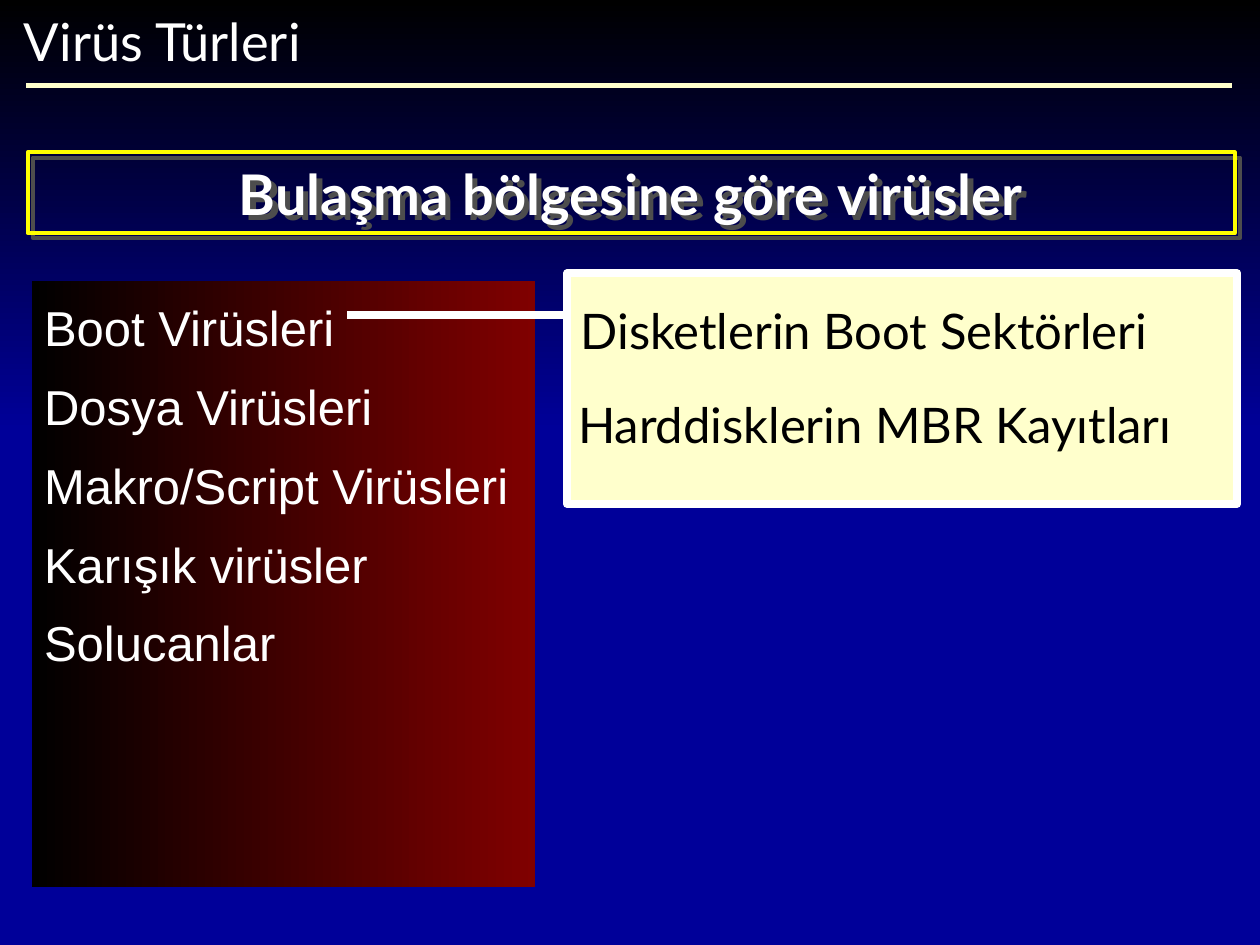
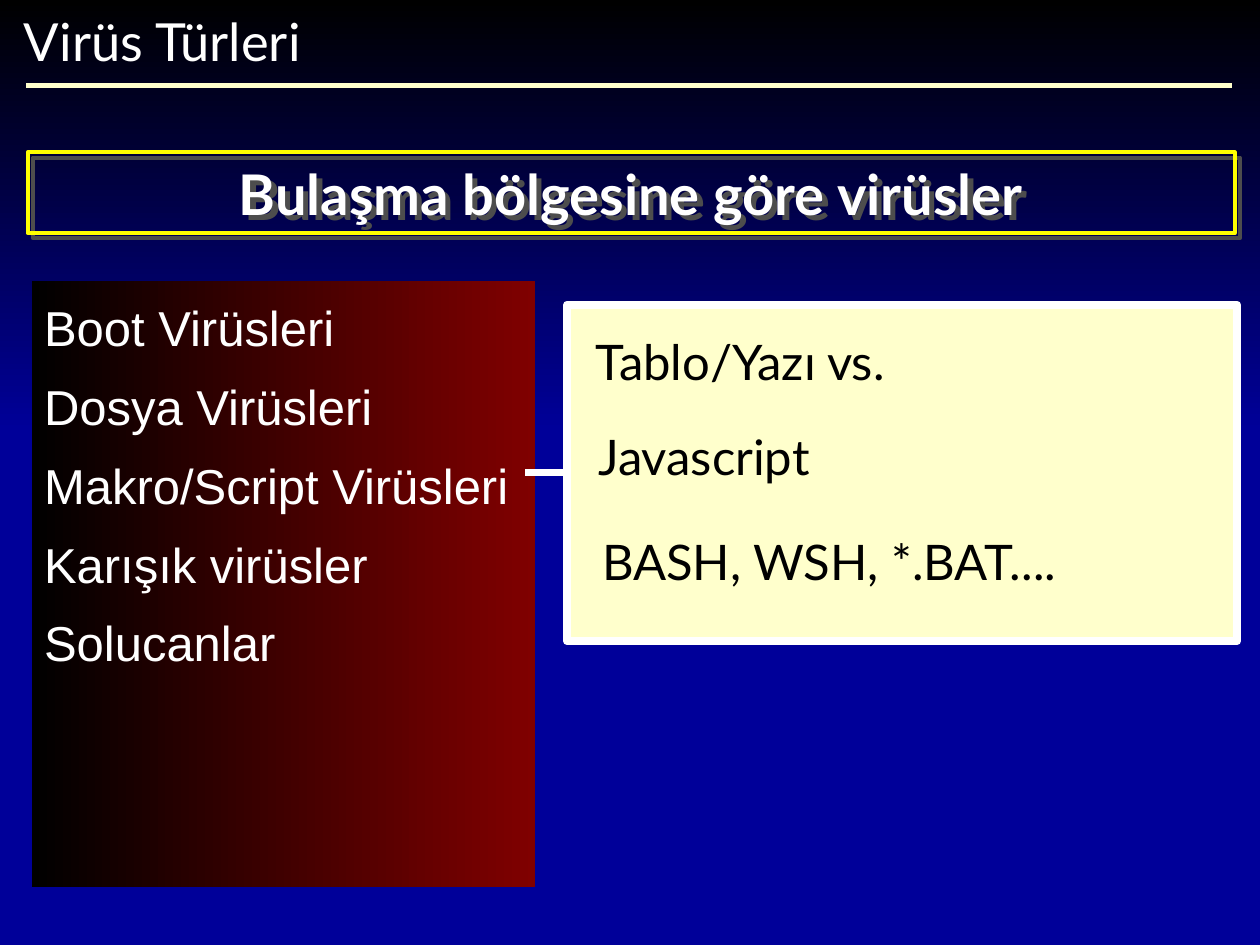
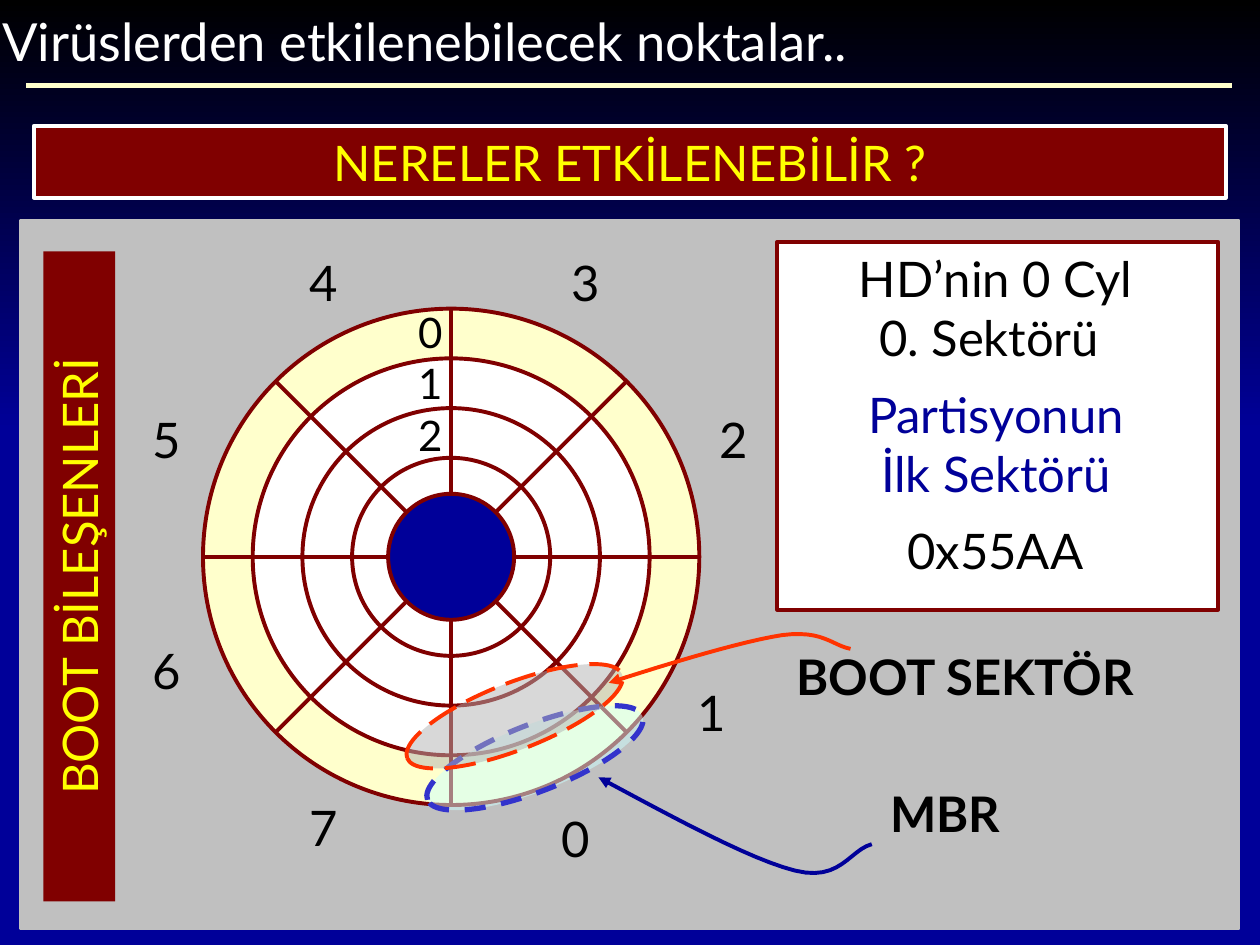
import math

from lxml import etree
from pptx import Presentation
from pptx.dml.color import RGBColor
from pptx.enum import dml, shapes, text
from pptx.oxml import ns
from pptx.util import Pt

COLORS = {
    "black": "000000", "white": "FFFFFF", "navy": "000099", "cream": "FFFFCC",
    "maroon": "800000", "yellow": "FFFF00", "silver": "C0C0C0", "shade": "4D4D4D",
    "ice": "CCFFFF", "indigo": "3333CC", "smoke": "B2B2B2", "orange": "FF3300",
}
LATO, ARIAL = "Lato", "Arial"
LEFT, CENTER = text.PP_ALIGN.LEFT, text.PP_ALIGN.CENTER
RECT, OVAL = shapes.MSO_SHAPE.RECTANGLE, shapes.MSO_SHAPE.OVAL
ROW = 41  # height of one 28 pt line with its insets

VIRUS_KINDS = ["Boot Virüsleri", "Dosya Virüsleri", "Makro/Script Virüsleri",
               "Karışık virüsler", "Solucanlar"]


def rgb(name):
    return RGBColor.from_string(COLORS[name])


def add_xml(parent, tag, **attributes):
    return etree.SubElement(parent, ns.qn(tag), attributes)


class Deck:
    """Holds the shared style and the slide being built."""

    def __init__(self):
        self.prs = Presentation()
        self.prs.slide_width, self.prs.slide_height = Pt(720), Pt(540)
        fill = self.prs.slide_master.background.fill
        fill.solid()
        fill.fore_color.rgb = rgb("navy")
        self.slide = None

    def new_slide(self, layout, title, left, width):
        first = self.slide is None
        self.slide = self.prs.slides.add_slide(self.prs.slide_layouts[layout])
        if first:
            self.decorate_master()
        heading = self.slide.shapes.title
        self.place(heading, left, 1.5, width, 43)
        self.set_text(heading, [title], size=30, color="white", align=LEFT, wrap=False)

    def decorate_master(self):
        band = self.shape(RECT, 0, 0, 720, 246.2)
        self.gradient(band, "black", "navy", 270)
        rule = self.line(15.1, 49, 704.2, 49, "cream", 3)
        tree = self.prs.slide_master.shapes.element
        for number, part in enumerate((band, rule), 101):
            part.element.xpath(".//p:cNvPr")[0].set("id", str(number))
            tree.append(part.element)

    @staticmethod
    def place(holder, left, top, width, height):
        holder.left, holder.top = Pt(left), Pt(top)
        holder.width, holder.height = Pt(width), Pt(height)

    @staticmethod
    def gradient(shape, start, end, angle):
        shape.fill.gradient()
        shape.fill.gradient_angle = angle
        for stop, name in zip(shape.fill.gradient_stops, (start, end)):
            stop.color.rgb = rgb(name)

    @staticmethod
    def set_text(holder, lines, size=28, color="black", font=LATO, bold=False,
                 align=CENTER, wrap=True, anchor=text.MSO_ANCHOR.MIDDLE, gap=0):
        frame = holder.text_frame
        frame.text = "\n".join(lines)
        frame.auto_size = text.MSO_AUTO_SIZE.NONE
        frame.word_wrap = wrap
        frame.vertical_anchor = anchor
        for paragraph in frame.paragraphs:
            properties = paragraph._p.get_or_add_pPr()
            properties.set("marL", "0")
            properties.set("indent", "0")
            add_xml(properties, "a:buNone")
            paragraph.alignment = align
            paragraph.space_before, paragraph.space_after = Pt(0), Pt(gap)
            paragraph.font.name, paragraph.font.size = font, Pt(size)
            paragraph.font.bold = bold
            paragraph.font.color.rgb = rgb(color)

    def shape(self, kind, left, top, width, height, fill=None, line=None,
              weight=2.25, dash=None, alpha=None, rotation=0):
        shape = self.slide.shapes.add_shape(
            kind, Pt(left), Pt(top), Pt(width), Pt(height))
        shape.shadow.inherit = False
        shape.rotation = rotation
        if fill:
            shape.fill.solid()
            shape.fill.fore_color.rgb = rgb(fill)
        else:
            shape.fill.background()
        if alpha:
            fill_color = shape.element.spPr.xpath("a:solidFill/a:srgbClr")[0]
            add_xml(fill_color, "a:alpha", val=str(alpha * 1000))
        if line:
            shape.line.color.rgb = rgb(line)
            shape.line.width = Pt(weight)
            if dash:
                shape.line.dash_style = dash
        else:
            shape.line.fill.background()
        return shape

    def circle(self, x, y, radius, fill):
        self.shape(OVAL, x - radius, y - radius, 2 * radius, 2 * radius, fill, "maroon")

    def label(self, lines, left, top, width, height=ROW, **style):
        box = self.slide.shapes.add_textbox(Pt(left), Pt(top), Pt(width), Pt(height))
        self.set_text(box, lines, wrap=False, **style)

    def line(self, x1, y1, x2, y2, color, weight=2.25):
        line = self.slide.shapes.add_connector(
            shapes.MSO_CONNECTOR.STRAIGHT, Pt(x1), Pt(y1), Pt(x2), Pt(y2))
        line.line.color.rgb = rgb(color)
        line.line.width = Pt(weight)
        add_xml(line.element.spPr, "a:effectLst")
        return line

    def curved_arrow(self, start, curves, color, steps=12):
        """Follow cubic curves from the arrowhead to the tail."""
        points, here = [], start
        for curve in curves:
            controls = (here, *curve)
            for step in range(1, steps + 1):
                t = step / steps
                weights = [math.comb(3, i) * t**i * (1 - t)**(3 - i) for i in range(4)]
                points.append(tuple(
                    Pt(sum(w * c[axis] for w, c in zip(weights, controls)))
                    for axis in (0, 1)))
            here = curve[-1]
        builder = self.slide.shapes.build_freeform(Pt(start[0]), Pt(start[1]))
        builder.add_line_segments(points, close=False)
        arrow = builder.convert_to_shape()
        arrow.shadow.inherit = False
        arrow.fill.background()
        arrow.line.color.rgb = rgb(color)
        arrow.line.width = Pt(2.25)
        add_xml(arrow.element.spPr.find(ns.qn("a:ln")), "a:headEnd", type="triangle")

    def virus_slide(self, panel_top, panel_height, details, link_start, link_y):
        """List of virus kinds with a panel that details one of them."""
        self.new_slide(1, "Virüs Türleri", 6.5, 186)
        kinds = self.slide.placeholders[1]
        self.place(kinds, 18, 160.6, 288, 346.3)
        self.gradient(kinds, "black", "maroon", 0)
        self.set_text(kinds, VIRUS_KINDS, color="white", font=ARIAL, align=LEFT,
                      anchor=text.MSO_ANCHOR.TOP, gap=11.4)
        kinds.text_frame.margin_top = Pt(9.5)

        # Framed subtitle with its hard shadow
        subtitle = self.shape(RECT, 15.8, 87.1, 689.8, 46.1, line="yellow")
        self.set_text(subtitle, ["Bulaşma bölgesine göre virüsler"], size=32,
                      color="white", bold=True)
        effects = subtitle.element.spPr.find(ns.qn("a:effectLst"))
        shadow = add_xml(effects, "a:outerShdw", dist=str(Pt(4.2)), dir="2700000",
                         algn="ctr", rotWithShape="0")
        add_xml(shadow, "a:srgbClr", val=COLORS["shade"])

        # Detail panel
        self.shape(RECT, 324, panel_top, 383, panel_height, "cream", "white", 4.5)
        for detail, left, top, width in details:
            self.label([detail], left, top, width, align=LEFT)
        self.line(324, link_y, link_start, link_y, "white", 4.5)


def build_disk(deck):
    x, y, radius, track = 257.8, 318.2, 141.8, 28.4
    for ring in range(4):
        deck.circle(x, y, radius - ring * track, "white" if ring else "cream")
    for spoke in range(4):
        dx = radius * math.cos(spoke * math.pi / 4)
        dy = radius * math.sin(spoke * math.pi / 4)
        deck.line(x - dx, y - dy, x + dx, y + dy, "maroon")
    deck.circle(x, y, 36, "navy")

    # Sector numbers around the disk, cylinder numbers along the top spoke
    sectors = [(314, 458.6), (391.7, 386.6), (403.9, 230.4), (319.7, 140.4),
               (169.9, 140.4), (79.9, 230.4), (79.9, 362.2), (169.9, 452.2)]
    for sector, (left, top) in enumerate(sectors):
        deck.label([str(sector)], left, top, 30.2)
    for cylinder in range(3):
        deck.label([str(cylinder)], 232, 171.4 + cylinder * 29.5, 28, 36, size=24)


def build_affected_points(deck):
    deck.new_slide(5, "Virüslerden etkilenebilecek noktalar..", -5.8, 535)
    deck.shape(RECT, 12.2, 126, 695.5, 404.6, "silver", "silver")
    question = deck.shape(RECT, 19.4, 72, 681.1, ROW, "maroon", "white")
    deck.set_text(question, ["NERELER ETKİLENEBİLİR ?"], color="yellow")
    components = deck.shape(RECT, -140.4, 308.9, 371.5, ROW, "maroon", rotation=270)
    deck.set_text(components, ["BOOT BİLEŞENLERİ"], color="yellow")
    build_disk(deck)

    # Master boot record
    deck.shape(OVAL, 239.8, 414, 131.8, 38.2, "ice", "indigo", 3,
               dml.MSO_LINE.DASH, alpha=50, rotation=338.7)
    deck.curved_arrow((342, 444.2), [
        ((385.2, 467.3), (428.4, 491), (454.3, 497.5)),
        ((480.2, 504), (485.3, 486), (498.2, 482.4))], "navy")
    deck.label(["MBR"], 501.1, 444.2, 77.8, bold=True)

    # Boot sector
    deck.shape(OVAL, 228.2, 390.2, 131.8, 38.2, "smoke", "orange", 2.25,
               dml.MSO_LINE.LONG_DASH, alpha=50, rotation=338.7)
    deck.curved_arrow((347.8, 390.2), [
        ((385.9, 378), (424.1, 366.5), (447.1, 362.9)),
        ((470.2, 360), (475.2, 368.6), (486, 370.8))], "orange")
    deck.label(["BOOT SEKTÖR"], 447.8, 365.8, 207.4, bold=True)

    # Facts about both sectors
    deck.shape(RECT, 444.2, 138.2, 252, 210.2, "white", "maroon")
    deck.label(["HD’nin 0 Cyl", "0. Sektörü "], 483.1, 138.2, 171.4, 75)
    deck.label(["Partisyonun", "İlk Sektörü"], 483.1, 216, 172, 75, color="navy")
    deck.label(["0x55AA"], 494.6, 293.8, 148.3)


def main():
    deck = Deck()
    deck.virus_slide(156.2, 131.8, [
        ("Disketlerin Boot Sektörleri", 324.7, 167.8, 357.8),
        ("Harddisklerin MBR Kayıtları", 323.3, 221.8, 373)], 198, 180)
    deck.virus_slide(174.2, 192.2, [
        ("Tablo/Yazı vs.", 333.4, 185.8, 205.2),
        ("Javascript", 334.8, 239.8, 140.4),
        ("BASH, WSH, *.BAT....", 337, 300.2, 282.2)], 300.2, 270)
    build_affected_points(deck)
    deck.prs.save("out.pptx")


if __name__ == "__main__":
    main()
